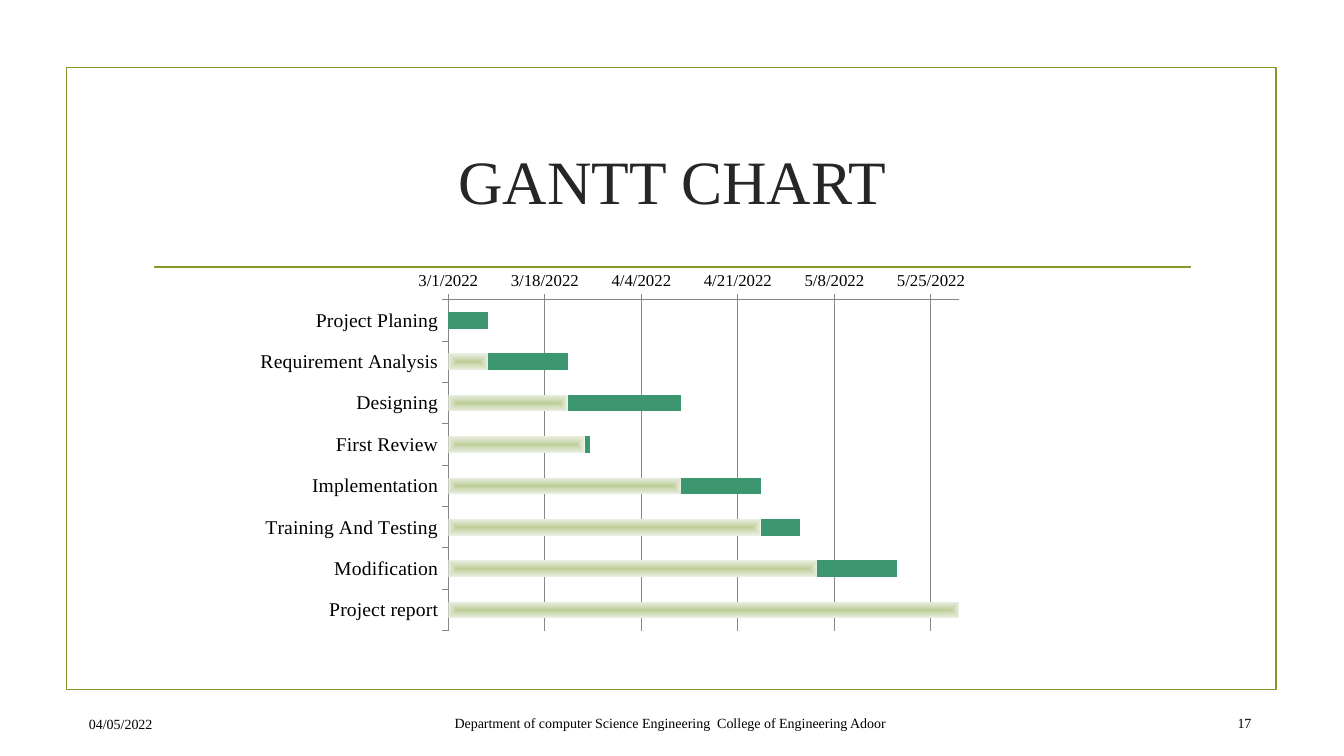
import pptx
import pptx.chart.data
import pptx.dml.color
import pptx.enum.chart
import pptx.enum.shapes
import pptx.enum.text
import pptx.oxml
import pptx.oxml.ns
import pptx.util

Inches = pptx.util.Inches
Pt = pptx.util.Pt
RGBColor = pptx.dml.color.RGBColor
Align = pptx.enum.text.PP_ALIGN
TickMark = pptx.enum.chart.XL_TICK_MARK

OLIVE = RGBColor(0x83, 0x99, 0x2A)
GREEN = RGBColor(0x3C, 0x97, 0x70)
GREY = RGBColor(0x86, 0x86, 0x86)
DARK = RGBColor(0x26, 0x26, 0x26)
BLACK = RGBColor(0, 0, 0)
FONT = "Times New Roman"
START = 44621
END = 44711

presentation = pptx.Presentation()
presentation.slide_width = Inches(13.33)
presentation.slide_height = Inches(7.5)
slide = presentation.slides.add_slide(presentation.slide_layouts[6])

frame = slide.shapes.add_shape(
    pptx.enum.shapes.MSO_SHAPE.RECTANGLE,
    Inches(0.66), Inches(0.67), Inches(12), Inches(6.17))
frame.shadow.inherit = False
frame.fill.background()

divider = slide.shapes.add_connector(
    pptx.enum.shapes.MSO_CONNECTOR.STRAIGHT,
    Inches(1.53), Inches(2.65), Inches(11.81), Inches(2.65))
pptx.oxml.ns.qn("a:effectLst")
divider._element.spPr.append(pptx.oxml.parse_xml(
    f'<a:effectLst {pptx.oxml.ns.nsdecls("a")}/>'))
for shape in (frame, divider):
    shape.line.color.rgb = OLIVE
    shape.line.width = Pt(1.25)

tasks = [
    ("Project Planing", 44621, 7),
    ("Requirement Analysis", 44628, 14),
    ("Designing", 44642, 20),
    ("First Review", 44645, 1),
    ("Implementation", 44662, 14),
    ("Training And Testing", 44676, 7),
    ("Modification", 44686, 14),
    ("Project report", 44711, 1),
]
names, starts, durations = zip(*tasks)
chart_data = pptx.chart.data.CategoryChartData()
chart_data.categories = names
chart_data.add_series("Series 1", starts)
chart_data.add_series("Series 2", durations)
chart = slide.shapes.add_chart(
    pptx.enum.chart.XL_CHART_TYPE.BAR_STACKED,
    Inches(1.85), Inches(2.7), Inches(11.29), Inches(3.98), chart_data).chart
chart.has_legend = False
chart.has_title = False
for name, value in {"name": FONT, "size": Pt(10)}.items():
    setattr(chart.font, name, value)
chart.font.color.rgb = BLACK

plot = chart.plots[0]
for name, value in {"gap_width": 150, "overlap": 100, "vary_by_categories": False}.items():
    setattr(plot, name, value)

start_series, duration_series = plot.series
stops = "".join(
    f'<a:gs pos="{position}"><a:srgbClr val="{color}"/></a:gs>'
    for position, color in [(0, "BECE97"), (50000, "D6DFC1"), (100000, "EAEFE1")])
start_series._element.get_or_add_spPr().append(pptx.oxml.parse_xml(
    f'<a:gradFill {pptx.oxml.ns.nsdecls("a")} rotWithShape="1"><a:gsLst>{stops}</a:gsLst>'
    '<a:path path="shape"><a:fillToRect l="50000" t="50000" r="50000" b="50000"/></a:path>'
    '</a:gradFill>'))
duration_series.format.fill.solid()
duration_series.format.fill.fore_color.rgb = GREEN

axis_formats = [
    (chart.category_axis, 14, {"reverse_order": True, "has_major_gridlines": False}),
    (chart.value_axis, 12, {"minimum_scale": START, "maximum_scale": END,
                            "major_unit": 17, "has_major_gridlines": True}),
]
for axis, size, values in axis_formats:
    for name, value in values.items():
        setattr(axis, name, value)
    axis.major_tick_mark = TickMark.OUTSIDE
    axis.minor_tick_mark = TickMark.NONE
    axis.tick_labels.font.size = Pt(size)
    axis.format.line.color.rgb = GREY
    axis.format.line.width = Pt(0.75)
chart.value_axis.tick_labels.number_format = "m/d/yyyy"
chart.value_axis.tick_labels.number_format_is_linked = False
gridline = chart.value_axis.major_gridlines.format.line
gridline.color.rgb = GREY
gridline.width = Pt(0.75)

plot_area = chart._chartSpace.chart.plotArea
for layout in plot_area.findall(pptx.oxml.ns.qn("c:layout")):
    plot_area.remove(layout)
bounds = "".join(
    f'<c:{tag} val="{value}"/>' for tag, value in [
        ("layoutTarget", "inner"), ("xMode", "edge"), ("yMode", "edge"),
        ("x", 0.23), ("y", 0.06), ("w", 0.449), ("h", 0.833)])
plot_area.insert(0, pptx.oxml.parse_xml(
    f'<c:layout {pptx.oxml.ns.nsdecls("c")}><c:manualLayout>{bounds}</c:manualLayout></c:layout>'))

texts = [
    ("GANTT CHART", 1.42, 1.07, 10.5, 1.43, 44, DARK, Align.CENTER),
    ("04/05/2022", -0.14, 7.03, 1.75, 0.31, 10, BLACK, Align.RIGHT),
    ("Department of computer Science Engineering  College of Engineering Adoor",
     4.41, 7.02, 7.99, 0.31, 10, BLACK, Align.LEFT),
    ("17", 11.92, 7.02, 0.59, 0.31, 10, BLACK, Align.RIGHT),
]
for text, left, top, width, height, size, color, alignment in texts:
    box = slide.shapes.add_textbox(Inches(left), Inches(top), Inches(width), Inches(height))
    box.text_frame.word_wrap = True
    box.text_frame.vertical_anchor = pptx.enum.text.MSO_ANCHOR.MIDDLE
    paragraph = box.text_frame.paragraphs[0]
    paragraph.text = text
    paragraph.alignment = alignment
    for name, value in {"name": FONT, "size": Pt(size)}.items():
        setattr(paragraph.font, name, value)
    paragraph.font.color.rgb = color

presentation.save("out.pptx")
